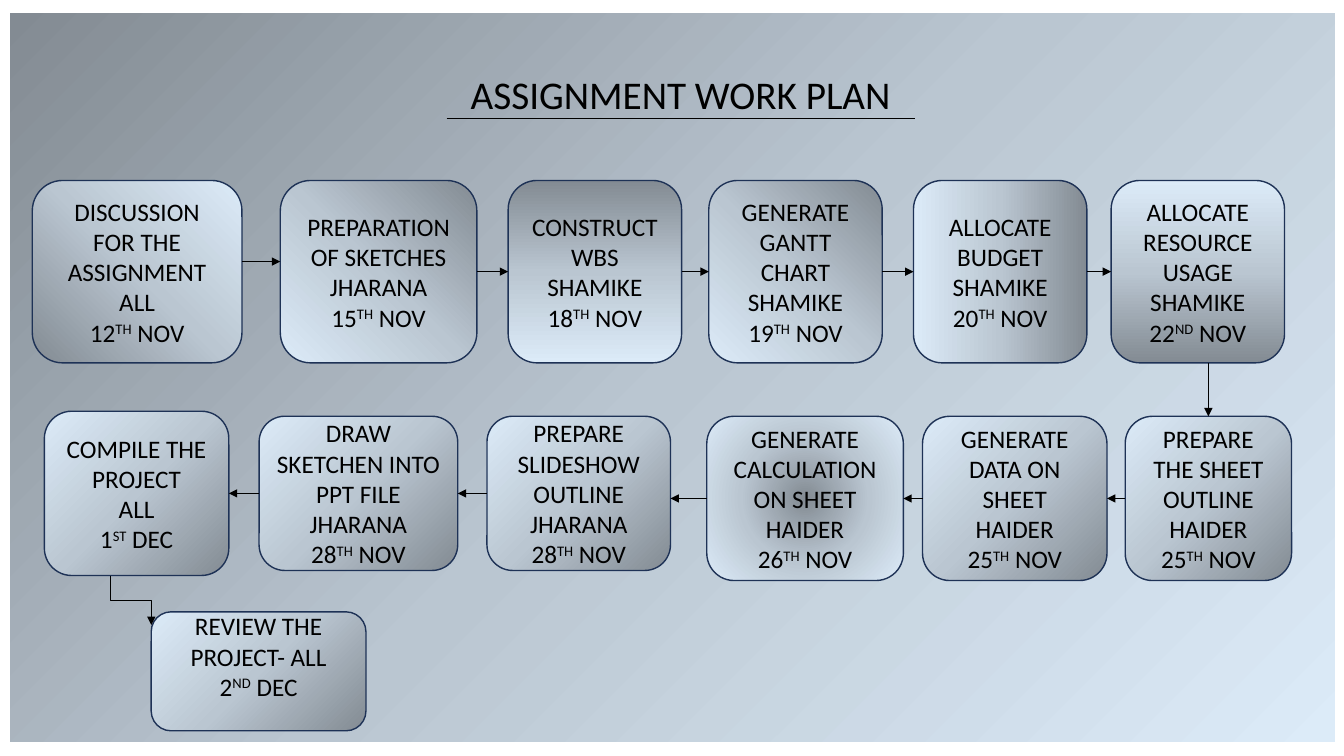
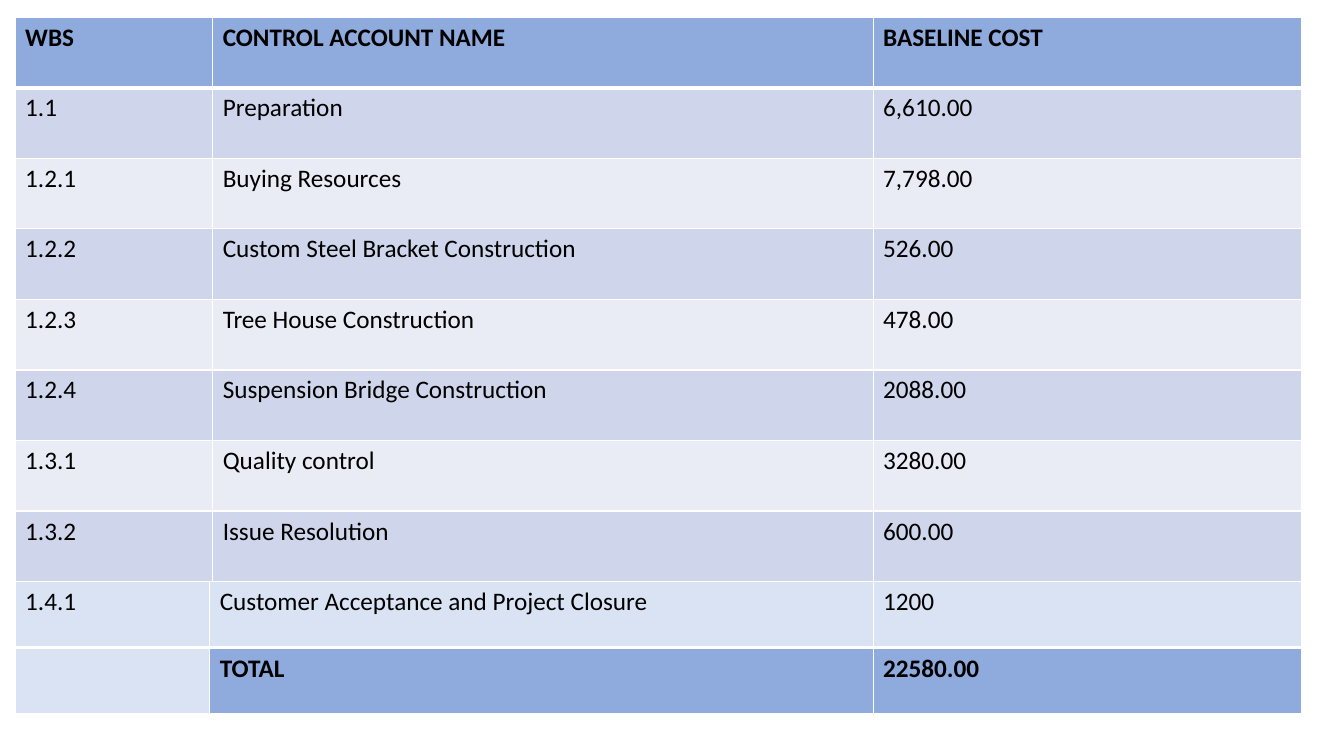
from pptx import Presentation, util as u
from pptx.dml.color import RGBColor
from pptx.enum import shapes, text
from pptx.oxml import parse_xml
from pptx.oxml.ns import nsdecls, qn

# Theme
THEME = {
    "font": "Calibri", "title": 28, "body": 18,
    "ink": "000000", "outline": "1E3256", "white": "FFFFFF",
    "accent": "8FAADC", "band": ("CFD5EA", "E9EBF5"), "pale": "DAE3F3",
    "stops": ((0, "838B93"), (50, "BAC6D1"), (100, "DCEBF8")),
}
SLIDE_W, SLIDE_H = 13.33, 7.5

# Gradient directions: an angle, or the (l, t, r, b) focus of a radial fill
TOP_LEFT, TOP_RIGHT = (0, 0, 100, 100), (100, 0, 0, 100)
BOTTOM_LEFT, BOTTOM_RIGHT = (0, 100, 100, 0), (100, 100, 0, 0)
CENTRE = (50, 50, 50, 50)

# Work plan content: paragraphs, date, (left, top, width, height), gradient
TITLE = "ASSIGNMENT WORK PLAN"
PANEL = (0.1, 0.13, 13.14, 7.23)
ROW1, ROW2, H1, H2, H3 = 1.79, 4.13, 1.81, 1.63, 1.53
STEPS = [
    (["DISCUSSION FOR THE ASSIGNMENT", "ALL"], ("12", "TH", " NOV"),
     (0.32, ROW1, 2.08, H1), BOTTOM_LEFT),
    (["PREPARATION OF SKETCHES", "JHARANA"], ("15", "TH", " NOV"),
     (2.78, ROW1, 1.95, H1), 135),
    (["CONSTRUCT WBS SHAMIKE"], ("18", "TH", " NOV"),
     (5.04, ROW1, 1.72, H1), 90),
    (["GENERATE GANTT CHART SHAMIKE"], ("19", "TH", " NOV"),
     (7.03, ROW1, 1.72, H1), TOP_RIGHT),
    (["ALLOCATE BUDGET SHAMIKE"], ("20", "TH", " NOV"),
     (9.06, ROW1, 1.72, H1), 180),
    (["ALLOCATE RESOURCE USAGE SHAMIKE"], ("22", "ND", " NOV"),
     (11.02, ROW1, 1.72, H1), 270),
    (["PREPARE THE SHEET OUTLINE HAIDER"], ("25", "TH", " NOV"),
     (11.16, ROW2, 1.65, H2), 225),
    (["GENERATE DATA ON SHEET", "HAIDER"], ("25", "TH", " NOV"),
     (9.15, ROW2, 1.83, H2), 225),
    (["GENERATE CALCULATION ON SHEET HAIDER"], ("26", "TH", " NOV"),
     (7.01, ROW2, 1.95, H2), CENTRE),
    (["PREPARE SLIDESHOW OUTLINE JHARANA"], ("28", "TH", " NOV"),
     (4.83, ROW2, 1.82, H3), 225),
    (["DRAW SKETCHEN INTO PPT FILE JHARANA"], ("28", "TH", " NOV"),
     (2.57, ROW2, 1.97, H3), BOTTOM_RIGHT),
    (["COMPILE THE PROJECT", "ALL"], ("1", "ST", " DEC"),
     (0.44, 4.08, 1.83, H2), 225),
    (["REVIEW THE PROJECT- ALL"], ("2", "ND", " DEC"),
     (1.5, 6.07, 2.13, 1.18), 225),
]
FIRST_ARROW_LIFT = 0.1

# Cost content
COSTS = [
    ("WBS", "CONTROL ACCOUNT NAME", "BASELINE COST"),
    ("1.1", "Preparation", "6,610.00"),
    ("1.2.1", "Buying Resources", "7,798.00"),
    ("1.2.2", "Custom Steel Bracket Construction", "526.00"),
    ("1.2.3", "Tree House Construction", "478.00"),
    ("1.2.4", "Suspension Bridge Construction", "2088.00"),
    ("1.3.1", "Quality control", "3280.00"),
    ("1.3.2", "Issue Resolution", "600.00"),
]
CLOSURE = ("1.4.1", "Customer Acceptance and Project Closure", "1200")
TOTAL = ("", "TOTAL", "22580.00")
COST_COLS, FOOT_COLS = (1.96, 6.55, 4.25), (1.93, 6.58, 4.25)


def rgb(name):
    return RGBColor.from_string(THEME.get(name, name))


def inches(values):
    return [u.Inches(v) for v in values]


def style(p, size, bold=False):
    p.font.name, p.font.size, p.font.bold = THEME["font"], u.Pt(size), bold
    p.font.color.rgb = rgb("ink")


def gradient(sp, direction):
    sp.fill.gradient()
    old = sp._element.spPr.find(qn("a:gradFill"))
    stops = "".join(f'<a:gs pos="{pos * 1000}"><a:srgbClr val="{c}"/></a:gs>'
                    for pos, c in THEME["stops"])
    if isinstance(direction, tuple):
        focus = " ".join(f'{side}="{v * 1000}"' for side, v in zip("ltrb", direction))
        way = f'<a:path path="circle"><a:fillToRect {focus}/></a:path>'
    else:
        way = f'<a:lin ang="{direction * 60000}" scaled="0"/>'
    old.getparent().replace(old, parse_xml(
        f'<a:gradFill {nsdecls("a")} rotWithShape="1"><a:gsLst>{stops}</a:gsLst>{way}</a:gradFill>'))


def line(s, start, end, arrow=True, kind=shapes.MSO_CONNECTOR.STRAIGHT):
    cn = s.shapes.add_connector(kind, *inches(start + end))
    cn.line.color.rgb, cn.line.width = rgb("ink"), u.Pt(0.5)
    if arrow:
        cn.line._get_or_add_ln().append(
            parse_xml(f'<a:tailEnd {nsdecls("a")} type="triangle"/>'))
    cn._element.spPr.append(parse_xml(f'<a:effectLst {nsdecls("a")}/>'))
    return cn


def down_elbow(s, start, end):
    """Elbow that leaves and arrives vertically: a quarter-turned connector."""
    (x1, y1), (x2, y2) = start, end
    cx, cy, dx, dy = (x1 + x2) / 2, (y1 + y2) / 2, (x2 - x1) / 2, (y2 - y1) / 2
    cn = line(s, (cx + dy, cy - dx), (cx - dy, cy + dx),
              kind=shapes.MSO_CONNECTOR.ELBOW)
    cn._element.spPr.find(qn("a:xfrm")).set("rot", str(270 * 60000))


def step_box(s, paragraphs, date, box, direction):
    sp = s.shapes.add_shape(shapes.MSO_SHAPE.ROUNDED_RECTANGLE, *inches(box))
    sp.shadow.inherit = False
    gradient(sp, direction)
    sp.line.color.rgb, sp.line.width = rgb("outline"), u.Pt(1)
    tf = sp.text_frame
    tf.word_wrap, tf.vertical_anchor = True, text.MSO_ANCHOR.MIDDLE
    for i, words in enumerate(paragraphs + [date]):
        p = tf.add_paragraph() if i else tf.paragraphs[0]
        p.alignment = text.PP_ALIGN.CENTER
        style(p, THEME["body"])
        for part in [words] if isinstance(words, str) else words:
            r = p.add_run()
            r.text = part
            if part == date[1]:
                r._r.get_or_add_rPr().set("baseline", "30000")
    return sp


def work_plan(prs):
    s = prs.slides.add_slide(prs.slide_layouts[5])

    # Title on the gradient panel
    title = s.shapes.title
    title.left, title.top, title.width, title.height = inches(PANEL)
    gradient(title, TOP_LEFT)
    tf = title.text_frame
    tf.text = TITLE
    tf.auto_size, tf.vertical_anchor = text.MSO_AUTO_SIZE.NONE, text.MSO_ANCHOR.TOP
    tf.margin_top, tf.margin_left = inches((0.62, 0.26))
    p = tf.paragraphs[0]
    p.alignment, p.line_spacing = text.PP_ALIGN.CENTER, 0.9
    style(p, THEME["title"])
    line(s, (4.43, 1.17), (9.08, 1.17), arrow=False)

    # Steps
    boxes = [step_box(s, *step) for step in STEPS]
    boxes[-1].text_frame.margin_bottom = u.Inches(0.35)

    # Arrows between consecutive steps
    places = [step[2] for step in STEPS]
    for i, ((x, y, w, h), (nx, ny, nw, nh)) in enumerate(zip(places[:-2], places[1:-1])):
        mid = y + h / 2 - (0 if i else FIRST_ARROW_LIFT)
        if y == ROW1 and ny == ROW2:
            line(s, (nx + nw / 2, y + h), (nx + nw / 2, ny))
        elif nx > x:
            line(s, (x + w, mid), (nx, mid))
        else:
            line(s, (x, mid), (nx + nw, mid))
    x, y, w, h = places[-2]
    down_elbow(s, (1.09, y + h), (places[-1][0], 6.2))


def cost_table(s, rows, top, cols, row_h, fills, bold_rows=(), thick_rows=()):
    """fills(row, column) names the colour of each cell."""
    frame = s.shapes.add_table(len(rows), len(cols), *inches(
        (0.15, top, sum(cols), row_h * len(rows))))
    table = frame.table
    table.first_row = table.horz_banding = False
    for column, width in zip(table.columns, cols):
        column.width = u.Inches(width)
    for i, row in enumerate(rows):
        for j, words in enumerate(row):
            cell = table.cell(i, j)
            for side in "LRTB":
                width = u.Pt(3 if side == "B" and i in thick_rows else 1)
                cell._tc.get_or_add_tcPr().append(parse_xml(
                    f'<a:ln{side} {nsdecls("a")} w="{width}"><a:solidFill>'
                    f'<a:srgbClr val="{THEME["white"]}"/></a:solidFill></a:ln{side}>'))
            cell.fill.solid()
            cell.fill.fore_color.rgb = rgb(fills(i, j))
            cell.text = words
            style(cell.text_frame.paragraphs[0], THEME["body"], i in bold_rows)


def cost_baseline(prs):
    s = prs.slides.add_slide(prs.slide_layouts[6])
    cost_table(s, COSTS, 0.17, COST_COLS, 0.7,
               lambda i, j: THEME["band"][(i - 1) % 2] if i else "accent",
               bold_rows=(0,), thick_rows=(0,))
    cost_table(s, [CLOSURE], 5.77, FOOT_COLS, 0.66, lambda i, j: "pale",
               thick_rows=(0,))
    cost_table(s, [TOTAL], 6.43, FOOT_COLS, 0.66,
               lambda i, j: "accent" if j else "pale",
               bold_rows=(0,), thick_rows=(0,))


def main():
    prs = Presentation()
    prs.slide_width, prs.slide_height = inches((SLIDE_W, SLIDE_H))
    work_plan(prs)
    cost_baseline(prs)
    prs.save("out.pptx")


if __name__ == "__main__":
    main()
